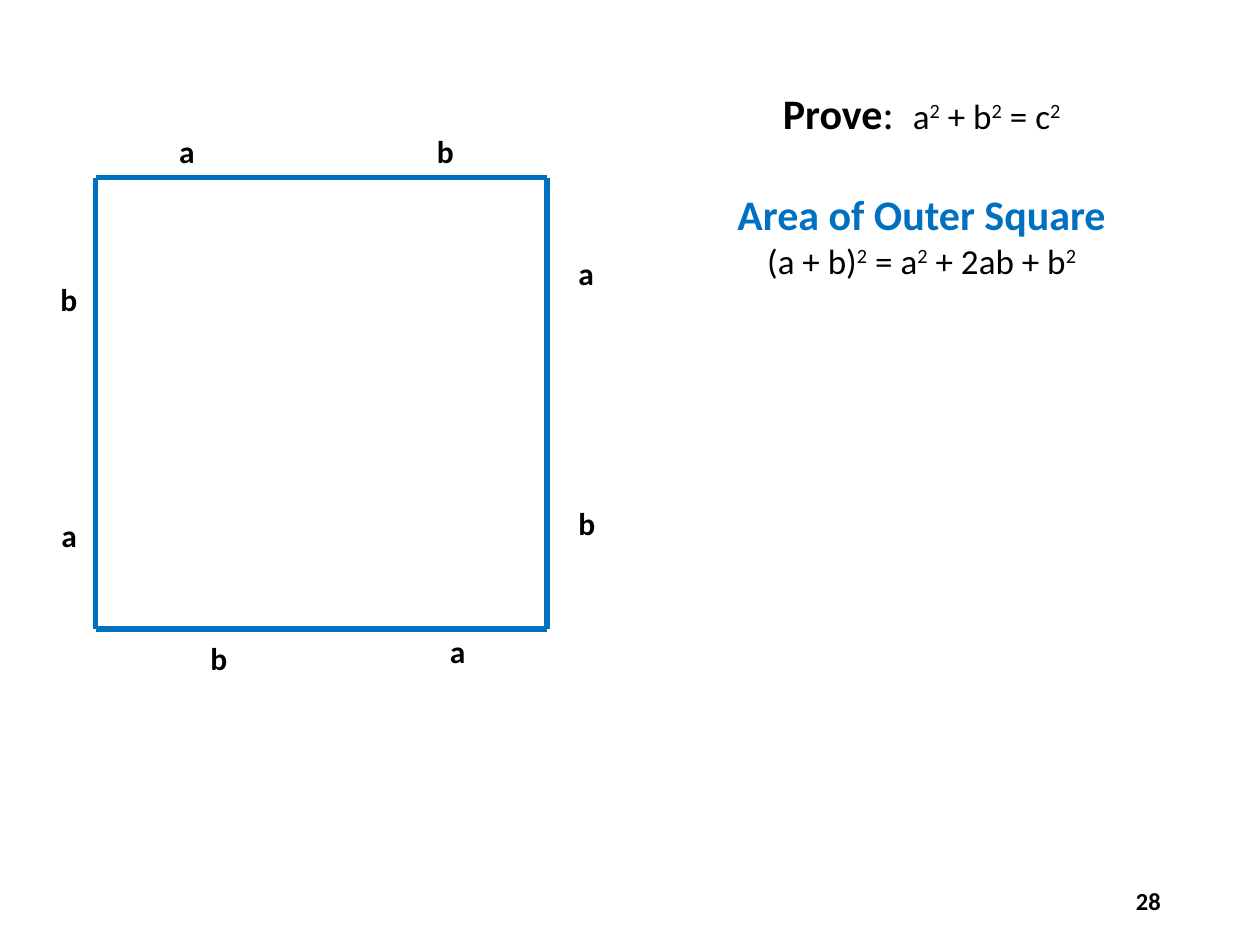
"""Builds a slide that starts the outer-square proof of the Pythagorean theorem."""
from itertools import pairwise

from lxml.etree import SubElement
from pptx import Presentation
from pptx.dml.color import RGBColor
from pptx.enum.shapes import MSO_CONNECTOR
from pptx.enum.text import MSO_ANCHOR, PP_ALIGN
from pptx.oxml.ns import qn
from pptx.util import Cm, Pt

BLACK = RGBColor(0x00, 0x00, 0x00)
BLUE = RGBColor(0x00, 0x70, 0xC0)
FONT = "Calibri"

LEFT, TOP = 1.93, 3.58
A, B = 3.9, 5.2
RIGHT, BOTTOM = LEFT + A + B, TOP + A + B

LABELS = [
    ("a", 3.61, 2.67), ("b", 8.81, 2.67),
    ("a", 11.66, 5.13), ("b", 11.66, 10.16),
    ("a", 9.07, 12.75), ("b", 4.24, 12.88),
    ("a", 1.24, 10.41), ("b", 1.22, 5.64),
]


def add_box(shapes, x, y, w, h, inset=None, anchor=MSO_ANCHOR.TOP):
    tf = shapes.add_textbox(Cm(x), Cm(y), Cm(w), Cm(h)).text_frame
    tf.word_wrap = True
    tf.vertical_anchor = anchor
    if inset is not None:
        tf.margin_left = tf.margin_top = Cm(inset)
        tf.margin_right = tf.margin_bottom = Cm(inset)
    return tf


def add_text(p, text, size=20, bold=False, color=BLACK, align=None):
    """Add text to a paragraph, setting each ² as a raised 2."""
    if align is not None:
        p.alignment = align
    for i, part in enumerate(text.replace("²", "|2|").split("|")):
        if not part:
            continue
        r = p.add_run()
        r.text = part
        r.font.name = FONT
        r.font.size = Pt(size)
        r.font.bold = bold
        r.font.color.rgb = color
        if i % 2:
            r._r.get_or_add_rPr().set("baseline", "30000")


def add_side(shapes, start, end):
    line = shapes.add_connector(
        MSO_CONNECTOR.STRAIGHT, *(Cm(v) for v in start + end))
    line.line.color.rgb = BLUE
    line.line.width = Pt(3.13)
    SubElement(line._element.spPr, qn("a:effectLst"))


def add_square(slide):
    shapes = slide.shapes.add_group_shape().shapes
    points = [
        (LEFT, TOP), (LEFT + A, TOP),
        (RIGHT, TOP), (RIGHT, TOP + A),
        (RIGHT, BOTTOM), (LEFT + B, BOTTOM),
        (LEFT, BOTTOM), (LEFT, TOP + B),
    ]
    for start, end in pairwise(points + points[:1]):
        add_side(shapes, start, end)
    for text, x, y in LABELS:
        tf = add_box(shapes, x, y, 0.7, 0.97, inset=0)
        add_text(tf.paragraphs[0], text, size=18, bold=True)


def add_proof(slide):
    tf = add_box(slide.shapes, 12.7, 1.63, 11.76, 5.21)
    p = tf.paragraphs[0]
    add_text(p, "Prove", size=24, bold=True, align=PP_ALIGN.CENTER)
    add_text(p, ":  ", size=24)
    add_text(p, "a² + b² = c²")
    p = tf.add_paragraph()
    p.space_before = Pt(29.3)
    add_text(p, "Area of Outer Square", size=24, bold=True, color=BLUE,
             align=PP_ALIGN.CENTER)
    add_text(tf.add_paragraph(), "(a + b)² = a² + 2ab + b²",
             align=PP_ALIGN.CENTER)


def add_slide_number(slide):
    tf = add_box(slide.shapes, 17.93, 17.65, 5.72, 1.02,
                 anchor=MSO_ANCHOR.MIDDLE)
    add_text(tf.paragraphs[0], "28", size=14, bold=True,
             align=PP_ALIGN.RIGHT)


def main():
    prs = Presentation()
    prs.slide_width, prs.slide_height = Cm(25.4), Cm(19.05)
    slide = prs.slides.add_slide(prs.slide_layouts[6])
    add_proof(slide)
    add_square(slide)
    add_slide_number(slide)
    prs.save("out.pptx")


if __name__ == "__main__":
    main()
